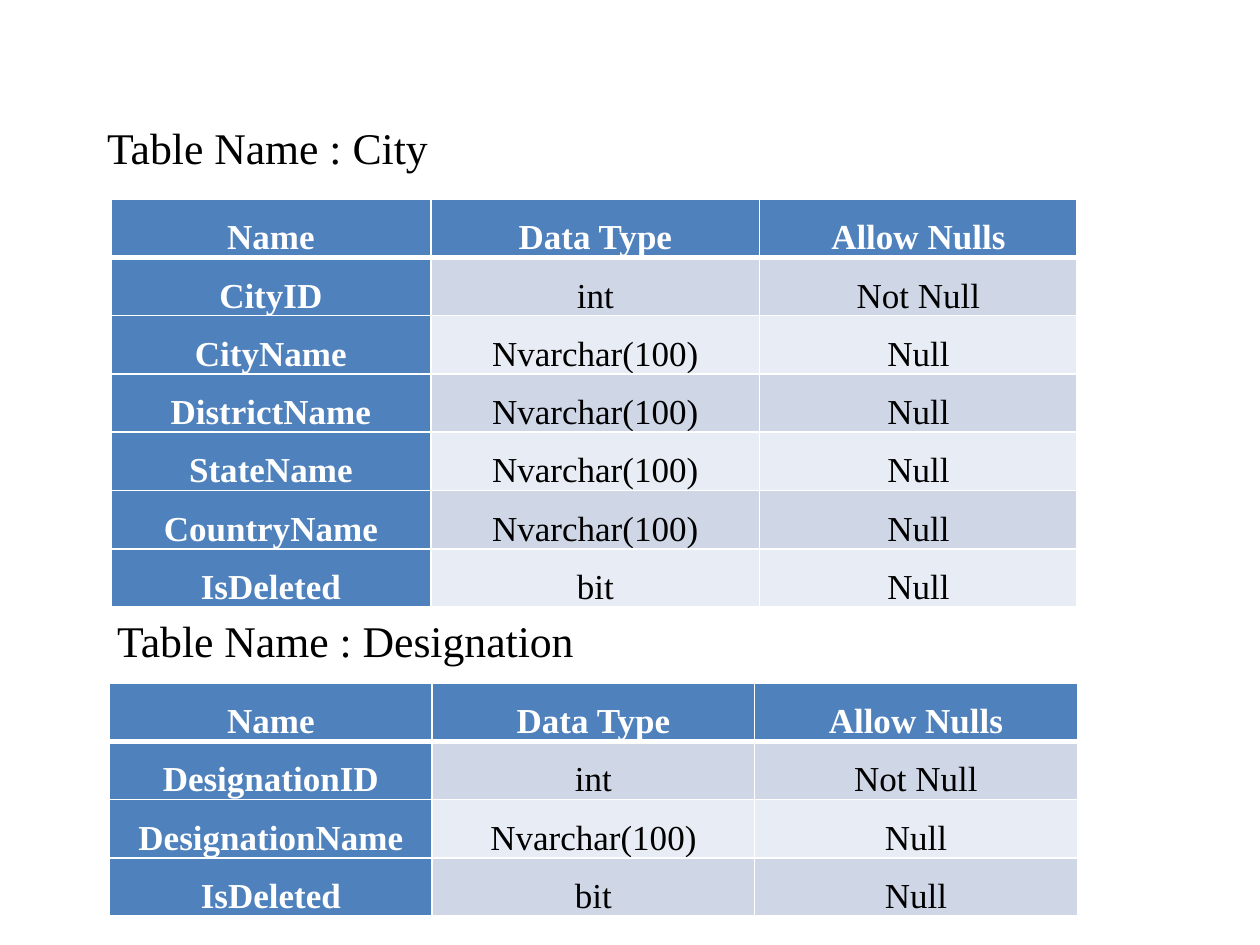
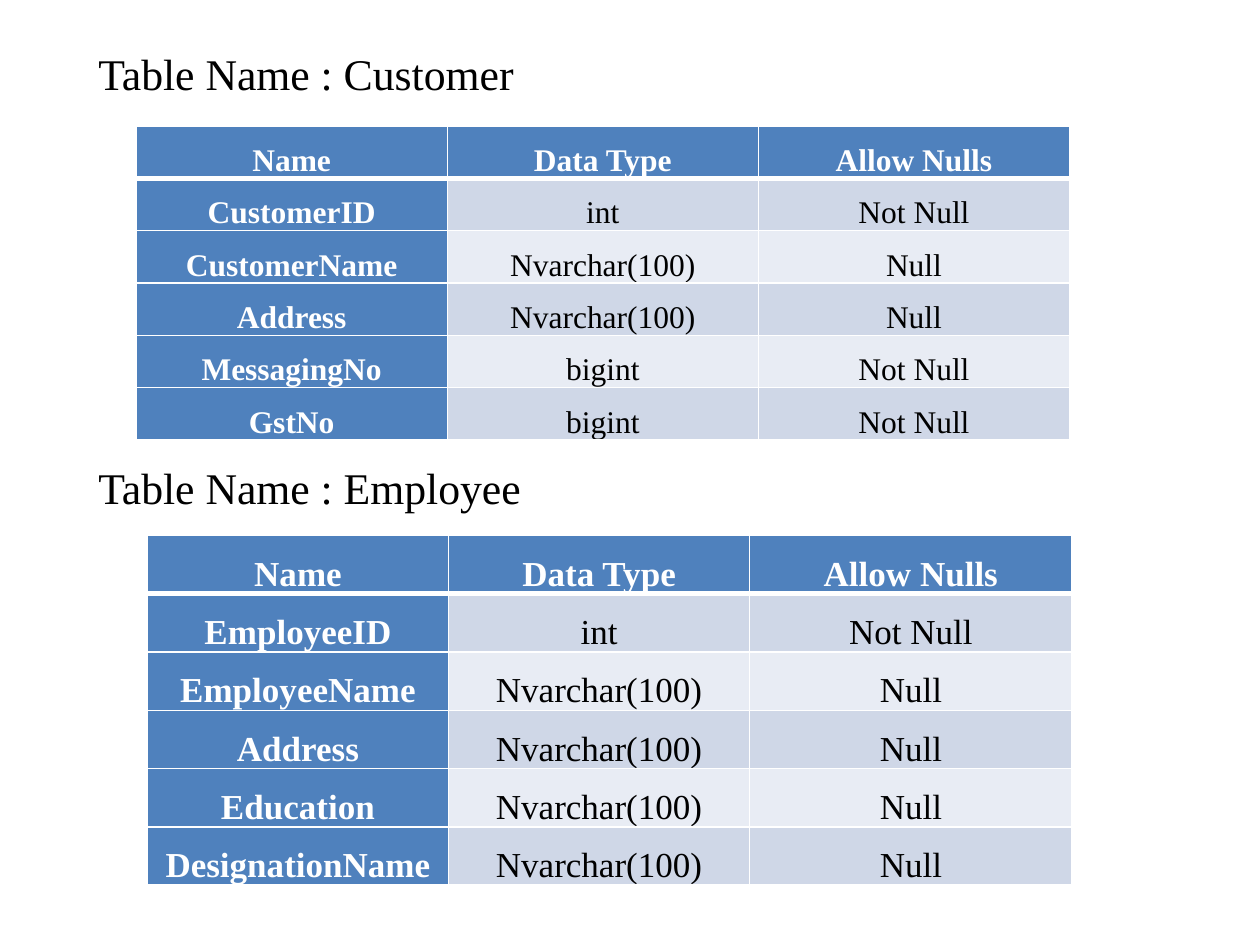
from lxml.etree import SubElement
from pptx import Presentation
from pptx.dml.color import RGBColor
from pptx.enum.text import MSO_ANCHOR, MSO_AUTO_SIZE, PP_ALIGN
from pptx.oxml.ns import qn
from pptx.util import Inches, Pt

BLUE = RGBColor(0x4F, 0x81, 0xBD)
DARK_BAND = RGBColor(0xCF, 0xD7, 0xE7)
LIGHT_BAND = RGBColor(0xE8, 0xEC, 0xF4)
BLACK = RGBColor(0, 0, 0)
WHITE = RGBColor(0xFF, 0xFF, 0xFF)

FONT = "Times New Roman"
HEADING_SIZE = 25
LINE_SPACING = 1.5
FONT_LINE_HEIGHT = 1.1
GRID_COLUMNS, GRID_ROWS = 100, 75
HEADER = ("Name", "Data Type", "Allow Nulls")
TEXT = "Nvarchar(100)"

CITY = [
    ("CityID", "int", "Not Null"),
    ("CityName", TEXT, "Null"),
    ("DistrictName", TEXT, "Null"),
    ("StateName", TEXT, "Null"),
    ("CountryName", TEXT, "Null"),
    ("IsDeleted", "bit", "Null"),
]
DESIGNATION = [
    ("DesignationID", "int", "Not Null"),
    ("DesignationName", TEXT, "Null"),
    ("IsDeleted", "bit", "Null"),
]
CUSTOMER = [
    ("CustomerID", "int", "Not Null"),
    ("CustomerName", TEXT, "Null"),
    ("Address", TEXT, "Null"),
    ("MessagingNo", "bigint", "Not Null"),
    ("GstNo", "bigint", "Not Null"),
]
EMPLOYEE = [
    ("EmployeeID", "int", "Not Null"),
    ("EmployeeName", TEXT, "Null"),
    ("Address", TEXT, "Null"),
    ("Education", TEXT, "Null"),
    ("DesignationName", TEXT, "Null"),
]


class SchemaDeck:
    def __init__(self):
        self.presentation = Presentation()
        self.presentation.slide_width = Inches(10)
        self.presentation.slide_height = Inches(7.5)
        self.slide = None

    def x(self, columns):
        return round(self.presentation.slide_width * columns / GRID_COLUMNS)

    def y(self, rows):
        return round(self.presentation.slide_height * rows / GRID_ROWS)

    def add_slide(self):
        layout = self.presentation.slide_layouts[1]
        self.slide = self.presentation.slides.add_slide(layout)

    def style(self, paragraph, size, color, bold=False):
        for run in paragraph.runs:
            run.font.name = FONT
            run.font.size = Pt(size)
            run.font.bold = bold
            run.font.color.rgb = color

    def heading(self, placeholder, table_name, left, top, width, indent=5):
        placeholder.left, placeholder.top = self.x(left), self.y(top)
        placeholder.width, placeholder.height = self.x(width), self.y(5.2)
        text_frame = placeholder.text_frame
        text_frame.text = f"Table Name : {table_name}"
        text_frame.word_wrap = True
        text_frame.auto_size = MSO_AUTO_SIZE.NONE
        text_frame.vertical_anchor = MSO_ANCHOR.TOP
        paragraph = text_frame.paragraphs[0]
        properties = paragraph._p.get_or_add_pPr()
        properties.set("marL", "0")
        properties.set("indent", str(self.x(indent)))
        SubElement(properties, qn("a:buNone"))
        paragraph.alignment = PP_ALIGN.LEFT
        paragraph.space_before = Pt(0)
        self.style(paragraph, HEADING_SIZE, BLACK)

    def table(self, fields, left, top, widths, size=20):
        rows = [HEADER, *fields]
        row_height = Pt(size * LINE_SPACING * FONT_LINE_HEIGHT)
        frame = self.slide.shapes.add_table(
            len(rows), len(HEADER), self.x(left), self.y(top),
            self.x(sum(widths)), row_height * len(rows))
        table = frame.table
        table.first_col = True
        for column, width in zip(table.columns, widths):
            column.width = self.x(width)
        for row_index, values in enumerate(rows):
            table.rows[row_index].height = row_height
            band = DARK_BAND if row_index % 2 else LIGHT_BAND
            for column_index, value in enumerate(values):
                is_label = row_index == 0 or column_index == 0
                cell = table.cell(row_index, column_index)
                self.borders(cell, row_index)
                self.cell(cell, value, size, BLUE if is_label else band, is_label)

    def borders(self, cell, row_index):
        widths = {
            "L": 1,
            "R": 1,
            "T": 3 if row_index == 1 else 1,
            "B": 3 if row_index == 0 else 1,
        }
        properties = cell._tc.get_or_add_tcPr()
        for side, width in widths.items():
            line = SubElement(properties, qn(f"a:ln{side}"), w=str(Pt(width)))
            fill = SubElement(line, qn("a:solidFill"))
            SubElement(fill, qn("a:srgbClr"), val=str(WHITE))

    def cell(self, cell, value, size, fill, is_label):
        cell.margin_left = cell.margin_right = Inches(0.07)
        cell.margin_top = cell.margin_bottom = 0
        cell.fill.solid()
        cell.fill.fore_color.rgb = fill
        cell.text_frame.text = value
        paragraph = cell.text_frame.paragraphs[0]
        paragraph.alignment = PP_ALIGN.CENTER
        paragraph.line_spacing = LINE_SPACING
        self.style(paragraph, size, WHITE if is_label else BLACK, is_label)


def main():
    deck = SchemaDeck()

    deck.add_slide()
    title, body = deck.slide.placeholders
    deck.heading(title, "City", 2.5, 9.1, 32.9)
    deck.table(CITY, 8.8, 15.8, (25.4, 26.1, 25.2))
    deck.heading(body, "Designation", 3.3, 48.2, 43.8)
    deck.table(DESIGNATION, 8.7, 54.2, (25.6,) * 3)

    deck.add_slide()
    title, body = deck.slide.placeholders
    deck.heading(title, "Customer", 2.3, 3.2, 90, indent=4.5)
    deck.table(CUSTOMER, 10.8, 10, (24.7,) * 3, size=18)
    deck.heading(body, "Employee", 2.3, 36.1, 90, indent=4.5)
    deck.table(EMPLOYEE, 11.7, 42.5, (23.9, 23.9, 25.6))

    deck.presentation.save("out.pptx")


if __name__ == "__main__":
    main()
